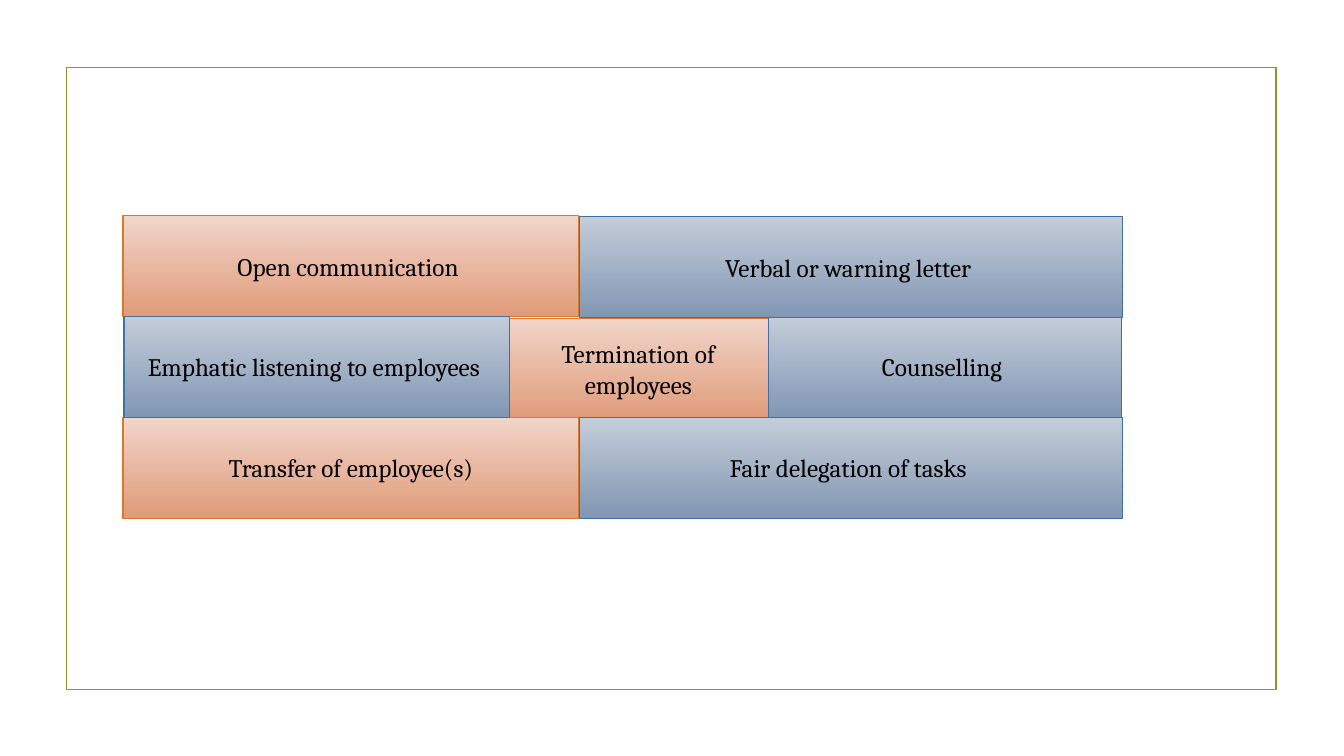
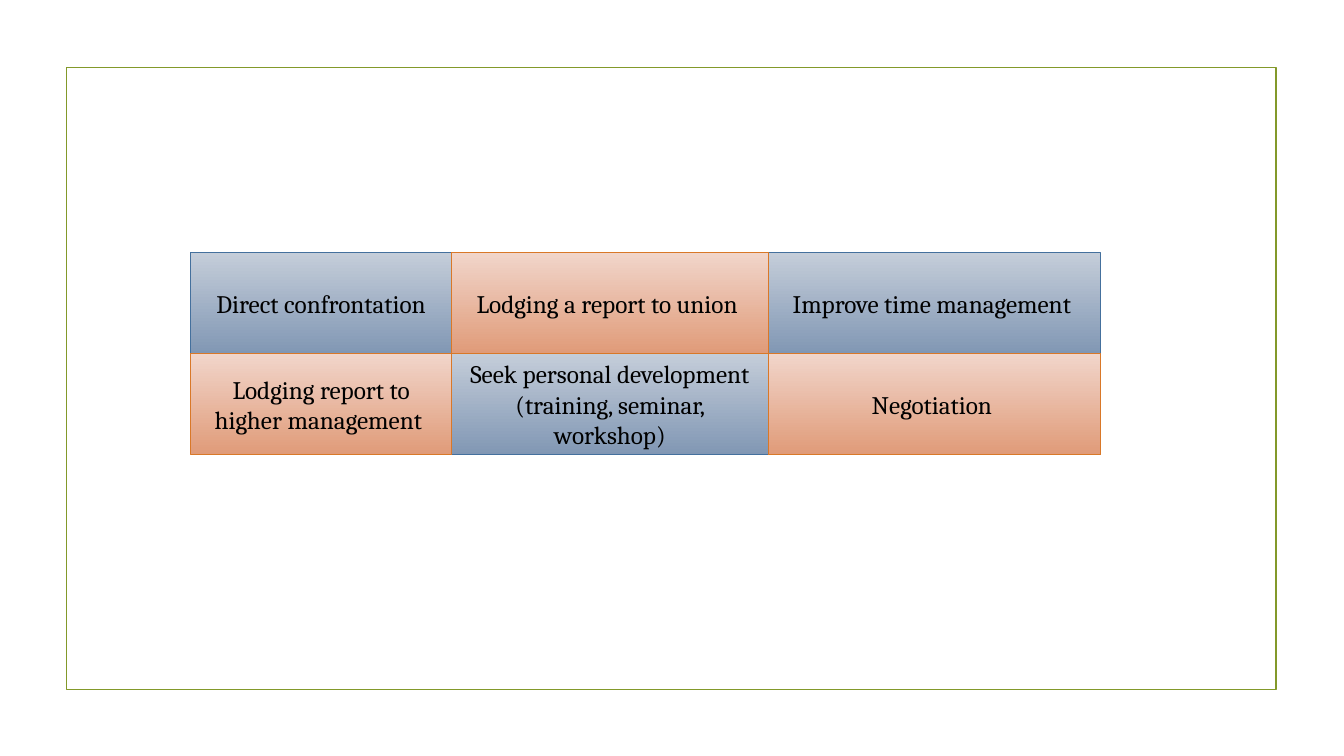
from itertools import accumulate

from pptx import Presentation
from pptx.dml.color import RGBColor
from pptx.enum.shapes import MSO_SHAPE
from pptx.enum.text import MSO_ANCHOR, PP_ALIGN
from pptx.util import Emu, Pt

PIXEL = 9144
CELL_HEIGHT = 100
COLORS = {
    "frame": "83992A",
    "text": "000000",
    "blue_line": "44709D",
    "blue_top": "C4CDD9",
    "blue_bottom": "8197B4",
    "orange_line": "D97828",
    "orange_top": "F1D5CA",
    "orange_bottom": "E09B79",
}
FONT = {"name": "Cambria", "size": Pt(18)}
FRAME_BOX = (66, 67, 1200, 617)

RESPONSES_ORIGIN = (122, 214)
RESPONSES = [
    (0, 0, 452, "orange", "Open communication "),
    (382, 102, 258, "orange", "Termination of employees"),
    (640, 100, 350, "blue", "Counselling "),
    (0, 200, 452, "orange", "Transfer of employee(s)"),
    (453, 200, 538, "blue", "Fair delegation of tasks "),
    (1, 100, 382, "blue", "Emphatic listening to employees "),
    (453, 1, 538, "blue", "Verbal or warning letter "),
]

ACTIONS_ORIGIN = (189, 251)
ACTION_WIDTHS = (259, 314, 330)
ACTIONS = [
    ["Direct confrontation", "Lodging a report to union ", "Improve time management "],
    [
        "Lodging report to higher management ",
        "Seek personal development (training, seminar, workshop)",
        "Negotiation ",
    ],
]


def color(name):
    return RGBColor.from_string(COLORS[name])


def add_rectangle(page, box, line_name, line_width):
    shape = page.shapes.add_shape(
        MSO_SHAPE.RECTANGLE, *(Emu(length * PIXEL) for length in box)
    )
    shape.shadow.inherit = False
    shape.line.color.rgb = color(line_name)
    shape.line.width = Pt(line_width)
    return shape


def add_layout_frame(layout, page):
    frame = add_rectangle(page, FRAME_BOX, "frame", 1.25)
    frame.fill.background()
    layout.shapes.element.append(frame.element)


def add_cell(page, box, tone, text):
    cell = add_rectangle(page, box, f"{tone}_line", 0.75)
    cell.fill.gradient()
    cell.fill.gradient_angle = 270
    for stop, end, position in zip(cell.fill.gradient_stops, ("top", "bottom"), (0, 1)):
        stop.color.rgb = color(f"{tone}_{end}")
        stop.position = position
    frame = cell.text_frame
    frame.word_wrap = True
    frame.vertical_anchor = MSO_ANCHOR.MIDDLE
    para = frame.paragraphs[0]
    para.alignment = PP_ALIGN.CENTER
    span = para.add_run()
    span.text = text
    for attribute, value in FONT.items():
        setattr(span.font, attribute, value)
    span.font.color.rgb = color("text")


def add_wall(page, origin, cells):
    for left, top, width, tone, text in cells:
        box = (origin[0] + left, origin[1] + top, width, CELL_HEIGHT)
        add_cell(page, box, tone, text)


def checkerboard(rows, widths):
    lefts = list(accumulate(widths[:-1], initial=0))
    cells = [
        (left, row * CELL_HEIGHT, width, ("blue", "orange")[(row + column) % 2], text)
        for row, texts in enumerate(rows)
        for column, (left, width, text) in enumerate(zip(lefts, widths, texts))
    ]
    return sorted(cells, key=lambda cell: cell[3])


def main():
    deck = Presentation()
    deck.slide_width = Emu(1333 * PIXEL)
    deck.slide_height = Emu(750 * PIXEL)
    layout = deck.slide_layouts[6]
    walls = [
        (RESPONSES_ORIGIN, RESPONSES),
        (ACTIONS_ORIGIN, checkerboard(ACTIONS, ACTION_WIDTHS)),
    ]
    for origin, cells in walls:
        add_wall(deck.slides.add_slide(layout), origin, cells)
    add_layout_frame(layout, deck.slides[0])
    deck.save("out.pptx")


if __name__ == "__main__":
    main()
